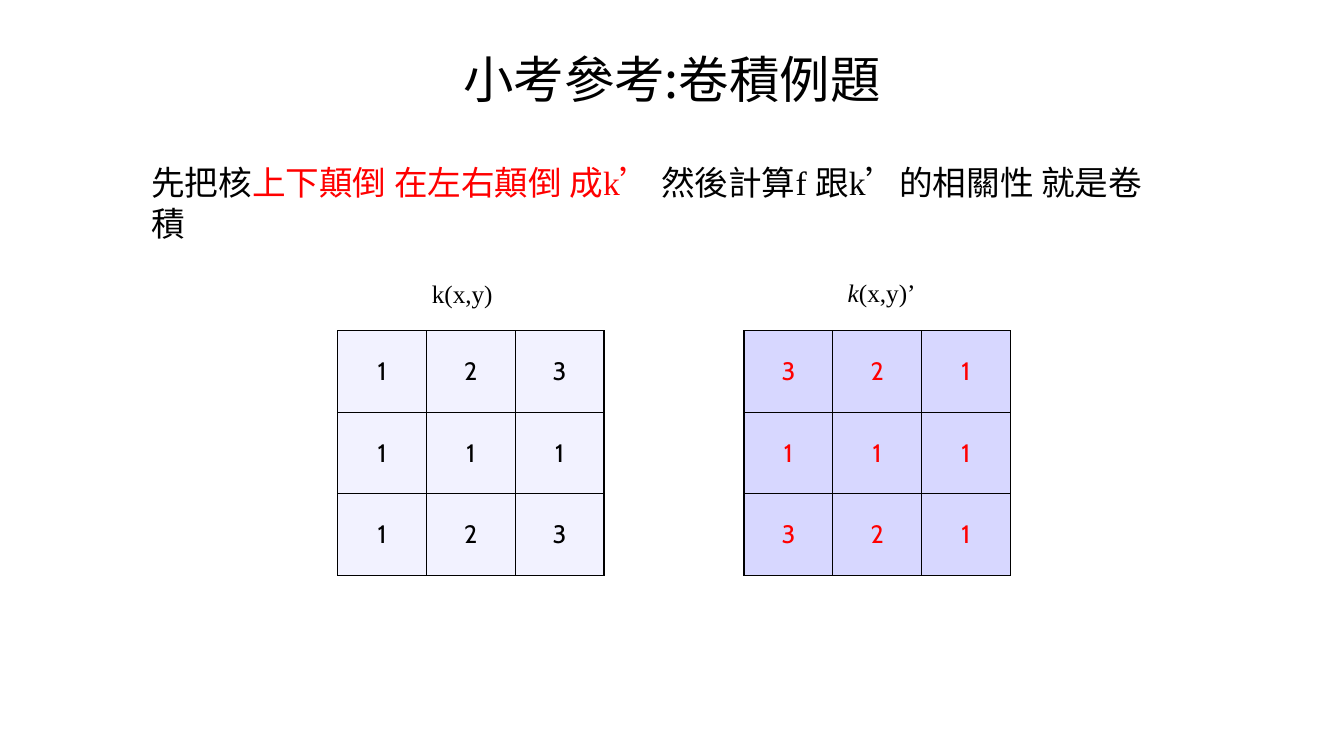
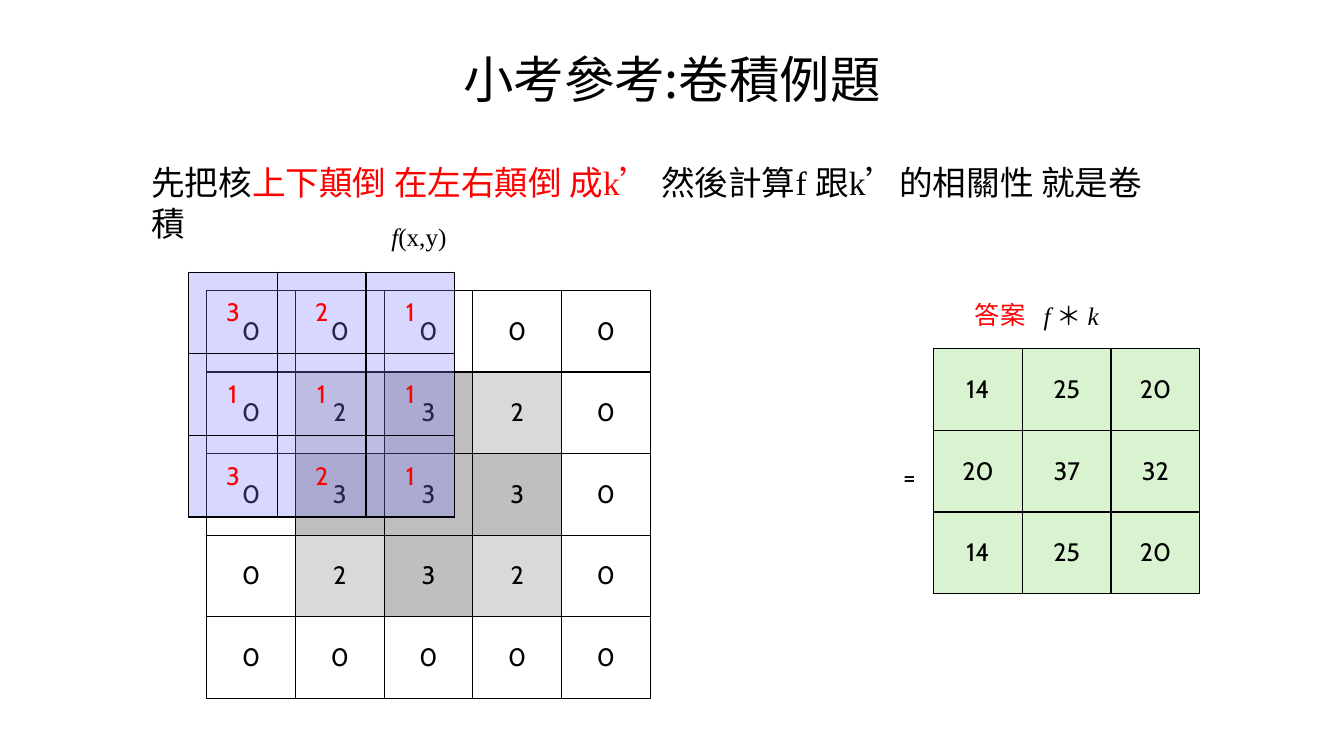
from collections.abc import Callable
from dataclasses import dataclass
from typing import NamedTuple

from lxml.etree import SubElement
from pptx import Presentation
from pptx.dml.color import RGBColor
from pptx.enum.text import MSO_ANCHOR, MSO_AUTO_SIZE, PP_ALIGN
from pptx.oxml import parse_xml
from pptx.oxml.ns import nsdecls, qn
from pptx.slide import Slide
from pptx.text.text import TextFrame
from pptx.util import Emu, Pt

Grid = list[list[int]]


@dataclass(frozen=True)
class Theme:
    black: str = "000000"
    white: str = "FFFFFF"
    red: str = "FF0000"
    pale: str = "D5D5FF"
    blue: str = "7D7DFF"
    green: str = "D9F2D0"
    light: str = "D9D9D9"
    dark: str = "BFBFBF"
    serif: str = "Times New Roman"
    cabin: str = "Cabin"
    cjk: str = "Noto Sans CJK SC"
    head: int = 36
    body: int = 24
    note: int = 18


class Run(NamedTuple):
    text: str
    color: str = Theme.black
    font: str = Theme.serif
    slant: bool = False


class Box(NamedTuple):
    left: int
    top: int
    width: int
    height: int


class Label(NamedTuple):
    box: Box
    runs: list[Run]
    align: PP_ALIGN = PP_ALIGN.CENTER
    wrap: bool = True


@dataclass
class Matrix:
    left: int
    top: int
    data: Grid
    tone: Callable[[int], str]
    ink: str = Theme.black
    alpha: int = 100


SCALE = 9144  # EMU in one px, 100 px to the inch
WIDTH, HEIGHT = 1333, 750
CELL_W, CELL_H = 88, 81
HEAD = Label(Box(0, 42, WIDTH, 71), [Run("小考參考:卷積例題", font=Theme.cjk)])
BODY = Label(
    Box(140, 156, 1031, 50),
    [
        Run("先把核"),
        Run("上下顛倒 在左右顛倒 成k’ ", Theme.red),
        Run("然後計算f 跟k’的相關性 就是卷積"),
    ],
    PP_ALIGN.LEFT,
)

KERNEL = [[1, 2, 3], [1, 1, 1], [1, 2, 3]]
FLIPPED = [row[::-1] for row in KERNEL[::-1]]
SOURCE = [
    [0, 0, 0, 0, 0],
    [0, 2, 3, 2, 0],
    [0, 3, 3, 3, 0],
    [0, 2, 3, 2, 0],
    [0, 0, 0, 0, 0],
]
RESULT = [[14, 25, 20], [20, 37, 32], [14, 25, 20]]
SHADES = {0: Theme.white, 2: Theme.light, 3: Theme.dark}


def px(count: int) -> Emu:
    return Emu(count * SCALE)


def write(frame: TextFrame, runs: list[Run], size: int, align: PP_ALIGN) -> None:
    par = frame.paragraphs[0]
    par.alignment = align
    par.space_before = Pt(0)
    for item in runs:
        run = par.add_run()
        run.text = item.text
        font = run.font
        font.name, font.size, font.italic = item.font, Pt(size), item.slant
        font.color.rgb = RGBColor.from_string(item.color)
        east = SubElement(font._element, qn("a:ea"))
        east.set("typeface", Theme.cjk)


def fill_holder(slide: Slide, index: int, label: Label, size: int, anchor: MSO_ANCHOR) -> None:
    """Move a template placeholder and set its text without a bullet."""
    shape = slide.placeholders[index]
    shape.left, shape.top, shape.width, shape.height = map(px, label.box)
    frame = shape.text_frame
    frame.auto_size = MSO_AUTO_SIZE.NONE
    frame.word_wrap = label.wrap
    frame.vertical_anchor = anchor
    write(frame, label.runs, size, label.align)
    props = frame.paragraphs[0]._p.get_or_add_pPr()
    props.set("marL", "0")
    props.set("indent", "0")
    SubElement(props, qn("a:buNone"))


def add_label(slide: Slide, label: Label) -> None:
    frame = slide.shapes.add_textbox(*map(px, label.box)).text_frame
    frame.word_wrap = label.wrap
    write(frame, label.runs, Theme.note, label.align)


def add_matrix(slide: Slide, item: Matrix) -> None:
    rows, cols = len(item.data), len(item.data[0])
    table = slide.shapes.add_table(
        rows, cols, px(item.left), px(item.top), px(cols * CELL_W), px(rows * CELL_H)
    ).table
    table.first_row = table.horz_banding = False
    for y, row in enumerate(item.data):
        for x, value in enumerate(row):
            cell = table.cell(y, x)
            cell.vertical_anchor = MSO_ANCHOR.MIDDLE
            run = Run(str(value), item.ink, Theme.cabin)
            write(cell.text_frame, [run], Theme.note, PP_ALIGN.CENTER)
            cell.fill.solid()
            cell.fill.fore_color.rgb = RGBColor.from_string(item.tone(value))
            props = cell._tc.get_or_add_tcPr()
            if item.alpha < 100:
                color = props.find(f".//{qn('a:srgbClr')}")
                SubElement(color, qn("a:alpha")).set("val", str(item.alpha * 1000))
            for spot, side in enumerate("LRTB"):
                props.insert(spot, parse_xml(
                    f'<a:ln{side} {nsdecls("a")} w="{Pt(1)}"><a:solidFill>'
                    f'<a:srgbClr val="{Theme.black}"/></a:solidFill></a:ln{side}>'
                ))


def flipped(left: int, top: int) -> Matrix:
    return Matrix(left, top, FLIPPED, lambda _: Theme.blue, Theme.red, 30)


def caption(left: int, top: int, *runs: Run) -> Label:
    return Label(Box(left, top, 93, 40), list(runs))


def main() -> None:
    deck = Presentation()
    deck.slide_width, deck.slide_height = px(WIDTH), px(HEIGHT)
    pages = [
        [
            caption(412, 271, Run("k(x,y)")),
            caption(828, 270, Run("k", slant=True), Run("(x,y)’")),
            flipped(738, 328),
            Matrix(335, 328, KERNEL, lambda _: Theme.pale, alpha=30),
        ],
        [
            caption(369, 215, Run("f", slant=True), Run("(x,y)")),
            Matrix(926, 346, RESULT, lambda _: Theme.green),
            caption(1016, 293, Run("f ", slant=True), Run("＊ "), Run("k", slant=True)),
            Matrix(205, 288, SOURCE, lambda value: SHADES[value]),
            Label(Box(886, 453, 34, 40), [Run("=", font=Theme.cabin)], PP_ALIGN.LEFT, False),
            flipped(187, 270),
            Label(Box(957, 292, 71, 40), [Run("答案", Theme.red, Theme.cjk)], PP_ALIGN.LEFT, False),
        ],
    ]
    for parts in pages:
        slide = deck.slides.add_slide(deck.slide_layouts[1])
        fill_holder(slide, 0, HEAD, Theme.head, MSO_ANCHOR.MIDDLE)
        fill_holder(slide, 1, BODY, Theme.body, MSO_ANCHOR.TOP)
        for part in parts:
            if isinstance(part, Matrix):
                add_matrix(slide, part)
            else:
                add_label(slide, part)
    deck.save("out.pptx")


if __name__ == "__main__":
    main()
